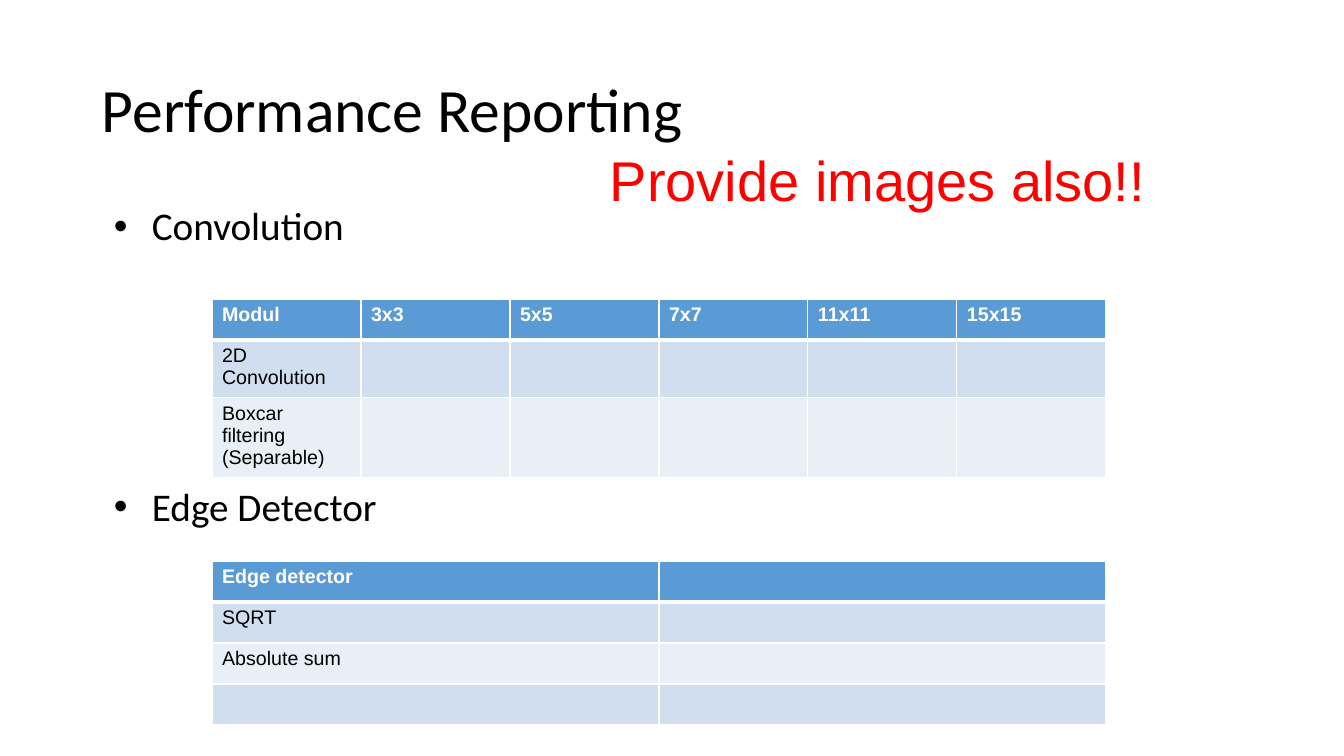
from dataclasses import dataclass

from lxml.etree import SubElement
from pptx import Presentation
from pptx.dml.color import RGBColor
from pptx.enum.text import MSO_ANCHOR
from pptx.oxml.ns import qn
from pptx.util import Emu, Pt

EMU_PER_PX = 12192000 / 1344
BLACK, WHITE, RED = "000000", "FFFFFF", "FF0000"
HEADER_FILL = "5B9BD5"
BAND_FILLS = ("D0DEEF", "E9EFF7")


@dataclass
class Area:
    left: int
    top: int
    width: int
    height: int


@dataclass
class ReportTable:
    area: Area
    row_heights: list[int]
    rows: list[list[str]]


def px(length: int) -> Emu:
    return Emu(round(length * EMU_PER_PX))


def color(value: str) -> RGBColor:
    return RGBColor.from_string(value)


def write(para, text: str, *, size: int, font: str, fill: str = BLACK,
          bold: bool = False, line_spacing: float = 1.0, before: int = 0) -> None:
    para.line_spacing = line_spacing
    para.space_before = Pt(before)
    span = para.add_run()
    span.text = text
    span.font.size = Pt(size)
    span.font.name = font
    span.font.bold = bold
    span.font.color.rgb = color(fill)


def add_frame(page, area: Area, anchor=MSO_ANCHOR.TOP):
    box = page.shapes.add_textbox(px(area.left), px(area.top), px(area.width), px(area.height))
    frame = box.text_frame
    frame.word_wrap = True
    frame.vertical_anchor = anchor
    return frame


def add_bullet(para) -> None:
    properties = para._p.get_or_add_pPr()
    properties.set("marL", str(px(50)))
    properties.set("indent", str(px(-38)))
    SubElement(properties, qn("a:buFont"), typeface="Arial")
    SubElement(properties, qn("a:buChar"), char="•")


def set_borders(cell, widths: dict[str, int]) -> None:
    properties = cell._tc.get_or_add_tcPr()
    for position, (side, width) in enumerate(widths.items()):
        line = properties.makeelement(qn(f"a:ln{side}"), {"w": str(Pt(width))})
        fill = SubElement(line, qn("a:solidFill"))
        SubElement(fill, qn("a:srgbClr"), val=WHITE)
        properties.insert(position, line)


def draw_table(page, report: ReportTable) -> None:
    area = report.area
    column_count = len(report.rows[0])
    table = page.shapes.add_table(len(report.rows), column_count, px(area.left), px(area.top),
                                  px(area.width), px(area.height)).table
    for column in table.columns:
        column.width = px(area.width // column_count)
    for row_index, labels in enumerate(report.rows):
        header = row_index == 0
        table.rows[row_index].height = px(report.row_heights[row_index])
        for column_index, label in enumerate(labels):
            cell = table.cell(row_index, column_index)
            cell.fill.solid()
            cell.fill.fore_color.rgb = color(
                HEADER_FILL if header else BAND_FILLS[(row_index - 1) % 2])
            # The header is set off by a thicker rule
            set_borders(cell, {"L": 1, "R": 1, "T": 3 if row_index == 1 else 1,
                               "B": 3 if header else 1})
            if label:
                write(cell.text_frame.paragraphs[0], label, size=14, font="Arial",
                      fill=WHITE if header else BLACK, bold=header)


TABLES = [
    ReportTable(Area(212, 299, 895, 171), [41, 54, 76], [
        ["Modul", "3x3", "5x5", "7x7", "11x11", "15x15"],
        ["2D Convolution"] + [""] * 5,
        ["Boxcar filtering (Separable)"] + [""] * 5,
    ]),
    ReportTable(Area(212, 561, 895, 164), [41] * 4, [
        ["Edge detector", ""],
        ["SQRT", ""],
        ["Absolute sum", ""],
        ["", ""],
    ]),
]


def main() -> None:
    deck = Presentation()
    deck.slide_width, deck.slide_height = px(1344), px(756)
    page = deck.slides.add_slide(deck.slide_layouts[6])

    # Title
    title = add_frame(page, Area(92, 40, 1159, 146), MSO_ANCHOR.MIDDLE)
    write(title.paragraphs[0], "Performance Reporting", size=44, font="Calibri", line_spacing=0.9)

    # Section bullets, spaced to leave room for the first table
    body = add_frame(page, Area(92, 202, 1159, 480))
    for para, text, before in ((body.paragraphs[0], "Convolution", 10),
                               (body.add_paragraph(), "Edge Detector", 170)):
        write(para, text, size=28, font="Calibri", line_spacing=0.9, before=before)
        add_bullet(para)

    # Result tables
    for report in TABLES:
        draw_table(page, report)

    # Reminder
    reminder = add_frame(page, Area(600, 141, 561, 78))
    write(reminder.paragraphs[0], "Provide images also!!", size=40, font="Arial", fill=RED)

    deck.save("out.pptx")


if __name__ == "__main__":
    main()
